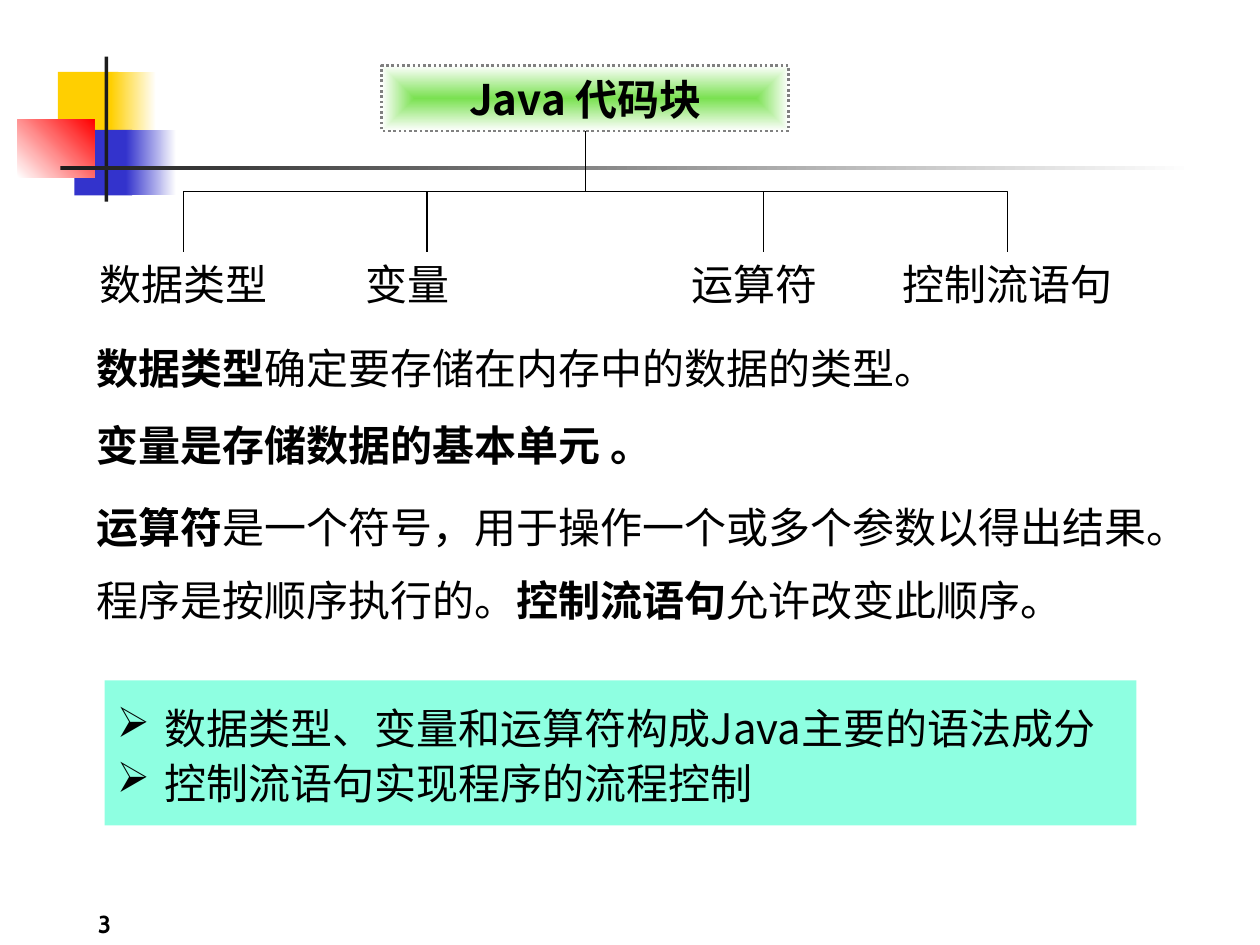
from dataclasses import dataclass

from lxml.etree import SubElement
from pptx import Presentation
from pptx.dml.color import RGBColor
from pptx.enum.dml import MSO_LINE
from pptx.enum.shapes import MSO_CONNECTOR, MSO_SHAPE
from pptx.enum.text import MSO_ANCHOR, MSO_AUTO_SIZE, PP_ALIGN
from pptx.oxml.ns import qn
from pptx.util import Inches, Pt


@dataclass(frozen=True)
class Theme:
    font: str = "Noto Sans CJK SC"
    num_font: str = "Cabin"
    body: int = 24
    small: int = 14
    ink: str = "000000"
    dark: str = "1C1C1C"
    white: str = "FFFFFF"
    gold: str = "FFCF01"
    blue: str = "3333CC"
    red: str = "FF0000"
    green: str = "7AE151"
    gray: str = "808080"
    mint: str = "8EFFE1"


T = Theme()
rgb = RGBColor.from_string


def place(shape, box):
    shape.left, shape.top, shape.width, shape.height = map(Inches, box)


def blend(fill, first, last, angle=0):
    fill.gradient()
    fill.gradient_angle = angle
    for stop, color in zip(fill.gradient_stops, (first, last)):
        stop.color.rgb = rgb(color)


def block(slide, box, color, last=None, angle=0):
    """Add a plain rectangle, fading to the last colour if one is given."""
    shape = slide.shapes.add_shape(MSO_SHAPE.RECTANGLE, *map(Inches, box))
    shape.shadow.inherit = False
    shape.line.fill.background()
    if last:
        blend(shape.fill, color, last, angle)
    else:
        shape.fill.solid()
        shape.fill.fore_color.rgb = rgb(color)
    return shape


def style(par, align=PP_ALIGN.LEFT, size=T.body, name=T.font, bold=None):
    par.alignment = align
    font = par.font
    font.name, font.size, font.bold = name, Pt(size), bold
    font.color.rgb = rgb(T.ink)
    props = par._p.pPr.find(qn("a:defRPr"))
    SubElement(props, qn("a:ea")).set("typeface", name)


def setup(frame, anchor=MSO_ANCHOR.MIDDLE):
    frame.word_wrap = True
    frame.auto_size = MSO_AUTO_SIZE.NONE
    frame.vertical_anchor = anchor
    frame.margin_left = frame.margin_right = Inches(0.1)
    frame.margin_top = frame.margin_bottom = 0


def label(slide, box, runs, anchor=MSO_ANCHOR.MIDDLE, **look):
    """Add one line of text; runs are (text, bold) pairs."""
    frame = slide.shapes.add_textbox(*map(Inches, box)).text_frame
    setup(frame, anchor)
    par = frame.paragraphs[0]
    style(par, **look)
    for text, bold in runs:
        run = par.add_run()
        run.text = text
        run.font.bold = bold


def motif(slide, x, y):
    """Draw the coloured squares and the crossing bars."""
    parts = [
        (0.32, 0.12, 0.48, 0.52, T.gold),
        (0.74, 0.12, 0.36, 0.52, T.gold, T.white),
        (0.45, 0.58, 0.46, 0.52, T.blue),
        (0.86, 0.58, 0.4, 0.52, T.blue, T.white),
        (0, 0.5, 0.61, 0.46, T.white, T.red, 45),
        (0.69, 0, 0.03, 1.15, T.dark),
        (0.34, 0.87, 9, 0.03, T.dark, T.white),
    ]
    for dx, dy, w, h, *paint in parts:
        block(slide, (x + dx, y + dy, w, h), *paint)


def banner(slide, box):
    title = slide.shapes.title
    place(title, box)
    blend(title.fill, T.green, T.white)
    grad = title._element.spPr.find(qn("a:gradFill"))
    grad.remove(grad.find(qn("a:lin")))
    glow = SubElement(grad, qn("a:path"))
    glow.set("path", "shape")
    rect = SubElement(glow, qn("a:fillToRect"))
    for side in "ltrb":
        rect.set(side, "50000")
    title.line.color.rgb = rgb(T.gray)
    title.line.width = Pt(1.5)
    title.line.dash_style = MSO_LINE.ROUND_DOT
    title.text_frame.text = "Java 代码块"
    setup(title.text_frame)
    style(title.text_frame.paragraphs[0], PP_ALIGN.CENTER, bold=True)


def branch(slide, x1, y1, x2, y2):
    """Link two points by an elbow that runs down, across and down."""
    drop, span = y2 - y1, abs(x2 - x1)
    mid_x, mid_y = (x1 + x2) / 2, (y1 + y2) / 2
    half = drop / 2 if x2 < x1 else -drop / 2
    ends = (mid_x - half, mid_y - span / 2, mid_x + half, mid_y + span / 2)
    link = slide.shapes.add_connector(MSO_CONNECTOR.ELBOW, *map(Inches, ends))
    turn = 90 if x2 < x1 else 270
    link._element.spPr.find(qn("a:xfrm")).set("rot", str(turn * 60000))
    link.line.color.rgb = rgb(T.ink)
    link.line.width = Pt(0.75)
    SubElement(link._element.spPr, qn("a:effectLst"))


def tree(slide, x, y):
    """Draw the banner and the four topics that hang from it."""
    w, h, root, fall = 3.23, 0.52, 2.52, 1.48
    banner(slide, (x + root, y, w, h))
    topics = [
        ("数据类型", 0, 1.89, PP_ALIGN.CENTER),
        ("变量", 2.29, 1.18, PP_ALIGN.LEFT),
        ("运算符", 4.88, 1.34, PP_ALIGN.LEFT),
        ("控制流语句", 6.46, 2.05, PP_ALIGN.CENTER),
    ]
    for text, dx, wide, align in topics:
        label(slide, (x + dx, y + fall, wide, 0.5), [(text, None)], align=align)
        branch(slide, x + root + w / 2, y + h, x + dx + wide / 2, y + fall)


def facts(slide, x, y, w):
    lines = [
        (0, [("数据类型", True), ("确定要存储在内存中的数据的类型。", False)]),
        (0.61, [("变量是存储数据的基本单元 。", True)]),
        (1.26, [("运算符", True),
                ("是一个符号，用于操作一个或多个参数以得出结果。", False)]),
        (1.84, [("程序是按顺序执行的。", False), ("控制流语句", True),
                ("允许改变此顺序。", False)]),
    ]
    for dy, runs in lines:
        label(slide, (x, y + dy, w, 0.5), runs)


def summary(slide, box):
    frame = block(slide, box, T.mint).text_frame
    setup(frame)
    frame.text = "数据类型、变量和运算符构成Java主要的语法成分\n控制流语句实现程序的流程控制"
    for par in frame.paragraphs:
        style(par)
        par.line_spacing = 1.09
        props = par._p.pPr
        props.set("marL", str(Inches(0.38)))
        props.set("indent", str(-Inches(0.38)))
        mark = props.makeelement(qn("a:buChar"), {"char": "➢"})
        props.find(qn("a:defRPr")).addprevious(mark)


def main():
    deck = Presentation()
    deck.slide_width, deck.slide_height = Inches(10), Inches(7.5)
    slide = deck.slides.add_slide(deck.slide_layouts[5])
    motif(slide, 0.14, 0.45)
    label(slide, (0, 7, 0.98, 0.45), [("3", None)], MSO_ANCHOR.BOTTOM,
          align=PP_ALIGN.RIGHT, size=T.small, name=T.num_font, bold=True)
    tree(slide, 0.51, 0.52)
    facts(slide, 0.67, 2.67, 9)
    summary(slide, (0.83, 5.4, 8.19, 1.15))
    deck.save("out.pptx")


if __name__ == "__main__":
    main()
